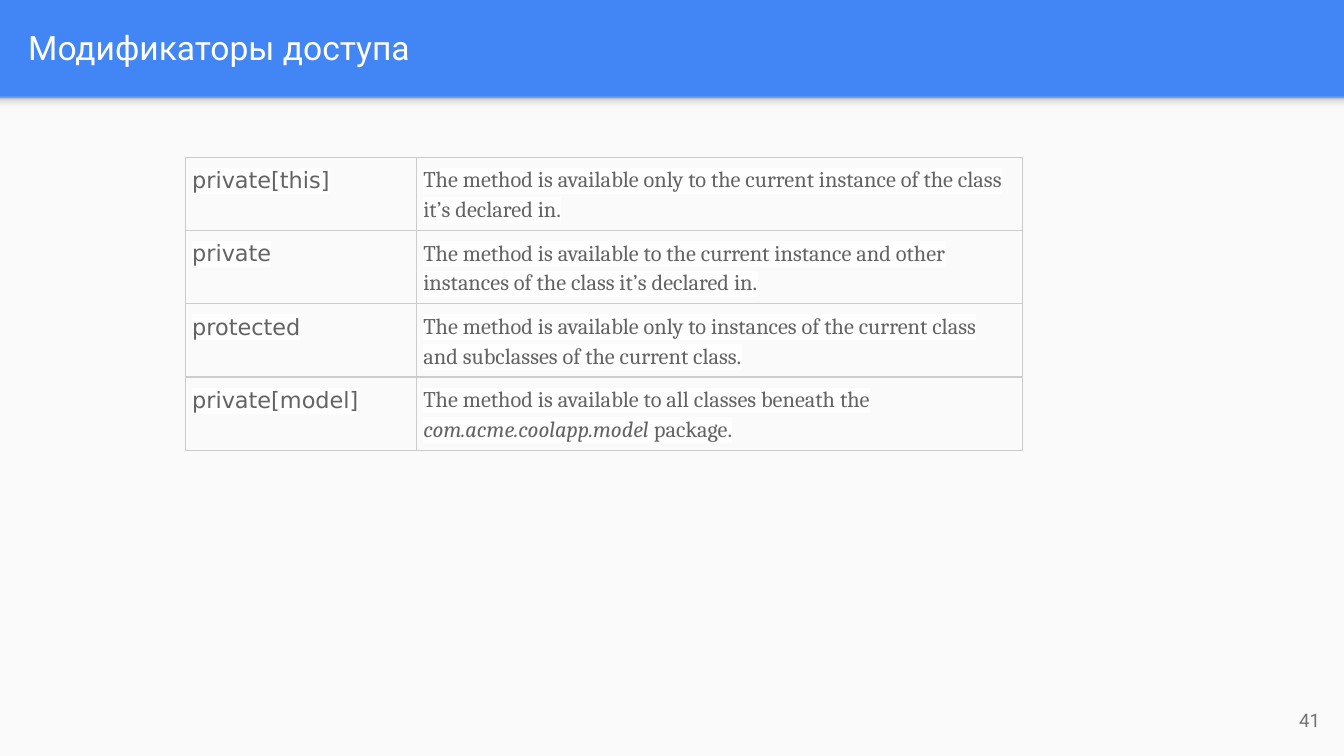
import pptx
import pptx.util
import pptx.dml.color
import pptx.enum.shapes
import pptx.enum.text
import pptx.oxml
import pptx.oxml.ns
import lxml.etree

Inches = pptx.util.Inches
Pt = pptx.util.Pt
qn = pptx.oxml.ns.qn
ALIGN = pptx.enum.text.PP_ALIGN
ANCHOR = pptx.enum.text.MSO_ANCHOR

TITLE = "Модификаторы доступа"
PAGE_NUMBER = "41"
MODIFIERS = [
    ("private[this]",
     [("The method is available only to the current instance of the class it’s declared in.", False)]),
    ("private",
     [("The method is available to the current instance and other instances of the class it’s declared in.", False)]),
    ("protected",
     [("The method is available only to instances of the current class and subclasses of the current class.", False)]),
    ("private[model]",
     [("The method is available to all classes beneath the ", False),
      ("com.acme.coolapp.model", True),
      (" package.", False)]),
]

THEME = {
    "header": "4285F4", "body": "FAFAFA", "title": "FFFFFF", "number": "737373",
    "text": "636363", "highlight": "FEFEFE", "border": "CCCCCC",
    "shadow": [(0, "F9F9F9"), (36, "F9F9F9"), (80, "DEDEDE"), (100, "999999")],
    "title_size": 18, "number_size": 10, "table_size": 12,
    "main_font": "Roboto", "code_font": "DejaVu Sans", "description_font": "Cambria",
}
WIDTH = 10
HEIGHT = WIDTH * 9 / 16
HEADER_HEIGHT = 0.72
TABLE_LEFT, TABLE_TOP, TABLE_HEIGHT = 1.38, 1.17, 2.18
COLUMN_WIDTHS = [1.72, 4.51]


def rgb(color):
    return pptx.dml.color.RGBColor.from_string(color)


def write(frame, parts, *, font, size, color, align=ALIGN.LEFT, line_spacing=1.0,
          highlight=None):
    paragraph = frame.paragraphs[0]
    paragraph.alignment = align
    paragraph.line_spacing = line_spacing
    for text, italic in parts:
        run = paragraph.add_run()
        run.text = text
        run.font.name = font
        run.font.size = Pt(size)
        run.font.italic = italic
        run.font.color.rgb = rgb(color)
        if highlight:
            mark = lxml.etree.Element(qn("a:highlight"))
            lxml.etree.SubElement(mark, qn("a:srgbClr"), val=highlight)
            run.font._element.find(qn("a:solidFill")).addnext(mark)


def set_margins(target, margin, bottom):
    target.margin_left = target.margin_right = target.margin_top = Inches(margin)
    target.margin_bottom = Inches(bottom)


def prepare_frame(frame):
    frame.word_wrap = True
    frame.vertical_anchor = ANCHOR.MIDDLE
    set_margins(frame, 0.1, 0.1)
    return frame


def add_band(slide, height):
    band = slide.shapes.add_shape(
        pptx.enum.shapes.MSO_SHAPE.RECTANGLE,
        Inches(0), Inches(HEADER_HEIGHT), Inches(WIDTH), Inches(height))
    band.shadow.inherit = False
    band.line.fill.background()
    return band


def fill_gradient(shape, stops):
    shape.fill.gradient()
    shape.fill.gradient_angle = 90
    stop_list = shape._element.spPr.find(".//" + qn("a:gsLst"))
    for stop in list(stop_list):
        stop_list.remove(stop)
    for position, color in stops:
        stop = lxml.etree.SubElement(stop_list, qn("a:gs"), pos=str(position * 1000))
        lxml.etree.SubElement(stop, qn("a:srgbClr"), val=color)


def add_borders(cell):
    properties = cell._tc.get_or_add_tcPr()
    for side in ("lnL", "lnR", "lnT", "lnB"):
        line = lxml.etree.SubElement(properties, qn("a:" + side), w=str(Pt(0.75)))
        fill = lxml.etree.SubElement(line, qn("a:solidFill"))
        lxml.etree.SubElement(fill, qn("a:srgbClr"), val=THEME["border"])


def add_modifier_table(slide):
    table = slide.shapes.add_table(
        len(MODIFIERS), len(COLUMN_WIDTHS), Inches(TABLE_LEFT), Inches(TABLE_TOP),
        Inches(sum(COLUMN_WIDTHS)), Inches(TABLE_HEIGHT)).table
    table.first_row = table.horz_banding = False
    for column, width in zip(table.columns, COLUMN_WIDTHS):
        column.width = Inches(width)
    for row, (modifier, description) in zip(table.rows, MODIFIERS):
        row.height = Inches(TABLE_HEIGHT / len(MODIFIERS))
        contents = [([(modifier, False)], THEME["code_font"]),
                    (description, THEME["description_font"])]
        for cell, (parts, font) in zip(row.cells, contents):
            set_margins(cell, 0.05, 0.03)
            cell.vertical_anchor = ANCHOR.TOP
            add_borders(cell)
            cell.fill.background()
            write(cell.text_frame, parts, font=font, size=THEME["table_size"],
                  color=THEME["text"], line_spacing=1.15, highlight=THEME["highlight"])


def main():
    presentation = pptx.Presentation()
    presentation.slide_width = Inches(WIDTH)
    presentation.slide_height = Inches(HEIGHT)
    slide = presentation.slides.add_slide(presentation.slide_layouts[5])
    slide.background.fill.solid()
    slide.background.fill.fore_color.rgb = rgb(THEME["header"])

    body = add_band(slide, HEIGHT - HEADER_HEIGHT)
    body.fill.solid()
    body.fill.fore_color.rgb = rgb(THEME["body"])
    fill_gradient(add_band(slide, 0.12), THEME["shadow"])

    title = slide.shapes.title
    title.left, title.top = Inches(0.11), Inches(0.02)
    title.width, title.height = Inches(9.65), Inches(0.66)
    write(prepare_frame(title.text_frame), [(TITLE, False)], font=THEME["main_font"],
          size=THEME["title_size"], color=THEME["title"])

    number = slide.shapes.add_textbox(Inches(9.32), Inches(5.14), Inches(0.6), Inches(0.43))
    write(prepare_frame(number.text_frame), [(PAGE_NUMBER, False)], font=THEME["main_font"],
          size=THEME["number_size"], color=THEME["number"], align=ALIGN.RIGHT)

    add_modifier_table(slide)
    presentation.save("out.pptx")


if __name__ == "__main__":
    main()
